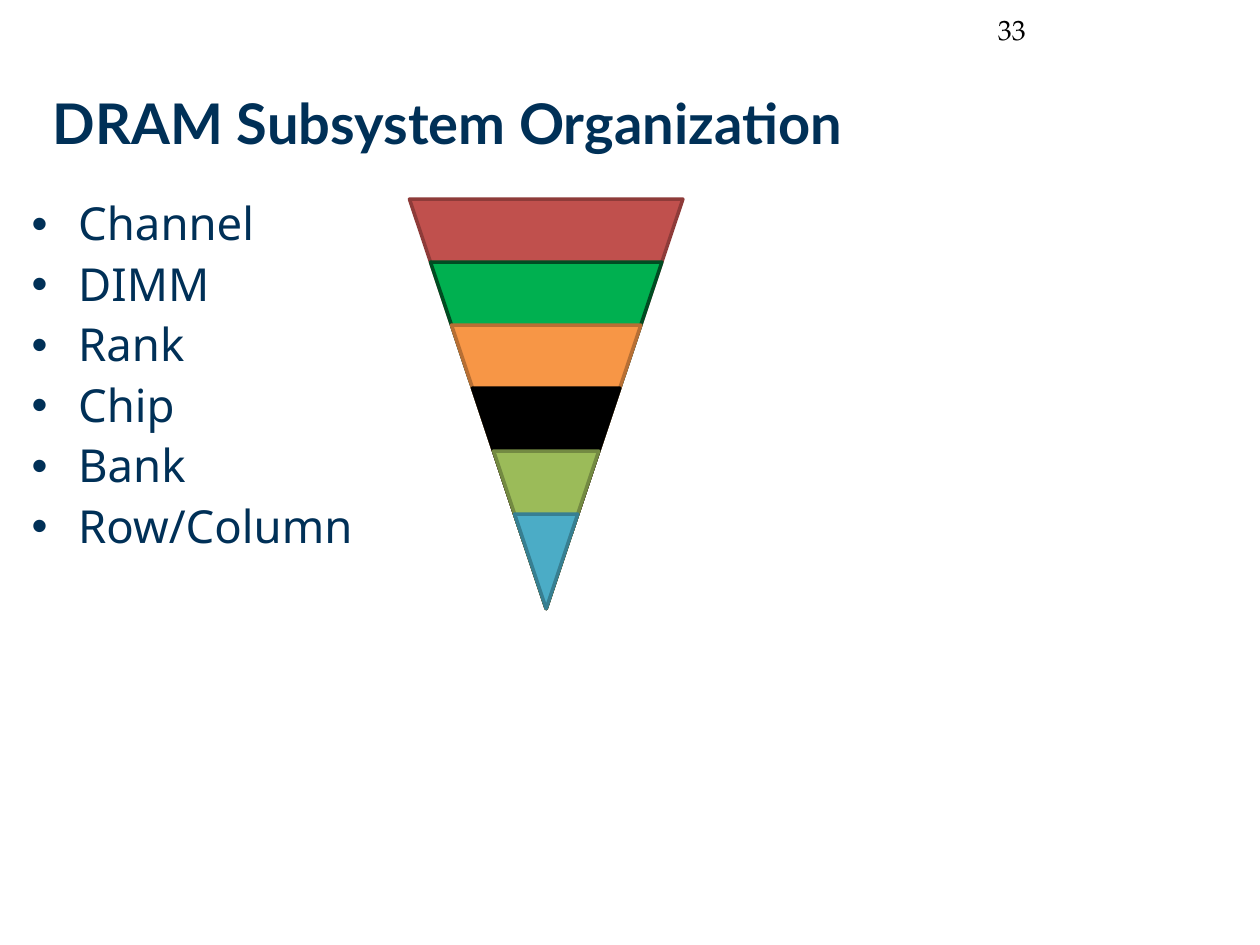
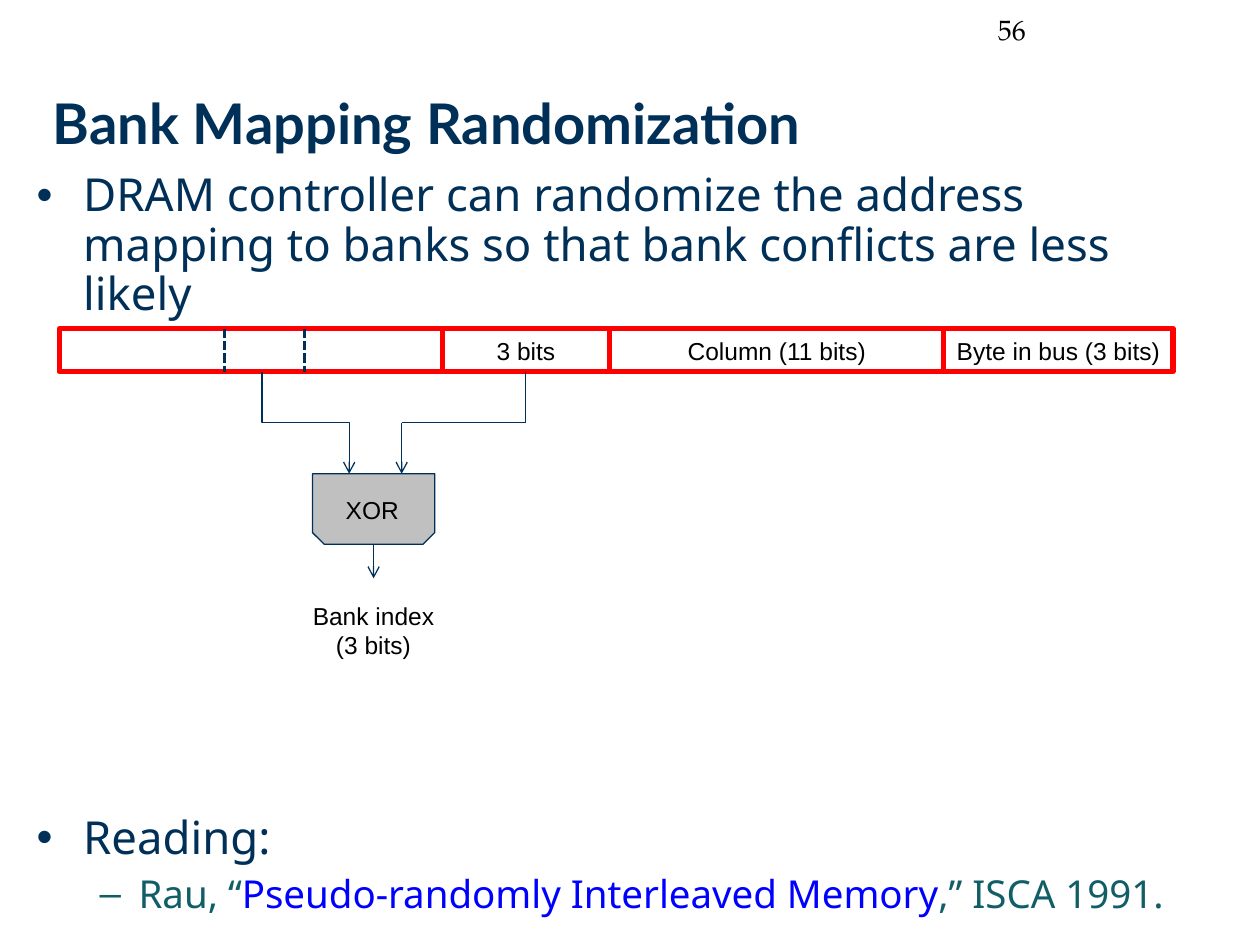
from collections import namedtuple
from itertools import accumulate

from lxml import etree
from pptx import Presentation
from pptx.dml.color import RGBColor
from pptx.enum.dml import MSO_LINE
from pptx.enum.shapes import MSO_CONNECTOR, MSO_SHAPE
from pptx.enum.text import MSO_ANCHOR, MSO_AUTO_SIZE, PP_ALIGN
from pptx.oxml.ns import qn
from pptx.util import Inches, Pt

LEFT, CENTER, RIGHT = PP_ALIGN.LEFT, PP_ALIGN.CENTER, PP_ALIGN.RIGHT
TOP, MIDDLE = MSO_ANCHOR.TOP, MSO_ANCHOR.MIDDLE
STRAIGHT, ELBOW = MSO_CONNECTOR.STRAIGHT, MSO_CONNECTOR.ELBOW
RECTANGLE = MSO_SHAPE.RECTANGLE
TRIANGLE = MSO_SHAPE.FLOWCHART_MERGE
GATE = MSO_SHAPE.SNIP_2_SAME_RECTANGLE
DASH = MSO_LINE.SQUARE_DOT
NO_FIT = MSO_AUTO_SIZE.NONE

NAVY = RGBColor(0x00, 0x30, 0x57)
TEAL = RGBColor(0x11, 0x5E, 0x67)
BLUE = RGBColor(0x00, 0x00, 0xFF)
BLACK = RGBColor(0x00, 0x00, 0x00)
RED = RGBColor(0xFF, 0x00, 0x00)
GRAY = RGBColor(0xC0, 0xC0, 0xC0)
FUNNEL_COLORS = [
    (RGBColor(0xC0, 0x50, 0x4D), RGBColor(0x8E, 0x3B, 0x39)),
    (RGBColor(0x00, 0xB0, 0x50), RGBColor(0x00, 0x4C, 0x22)),
    (RGBColor(0xF7, 0x96, 0x46), RGBColor(0xB7, 0x6F, 0x34)),
    (BLACK, BLACK),
    (RGBColor(0x9B, 0xBB, 0x59), RGBColor(0x73, 0x8A, 0x42)),
    (RGBColor(0x4B, 0xAC, 0xC6), RGBColor(0x37, 0x7F, 0x92)),
]

TITLE_FONT, BODY_FONT = "Lato", "Noto Sans"
NUMBER_FONT, LABEL_FONT = "TeX Gyre Pagella", "Arial"

Box = namedtuple("Box", "left top width height")
TITLE_BOX = Box(0.42, 0.5, 9.41, 0.98)
NUMBER_BOX = Box(7.33, -0.02, 0.91, 0.5)
Level = namedtuple("Level", "mark size color indent hang before")
LEVELS = [
    Level("•", 26, NAVY, 0.37, 0.37, 6.5),
    Level("–", 22, TEAL, 0.81, 0.31, 6),
]


def inches(box):
    return [Inches(length) for length in box]


def write(para, text, font=LABEL_FONT, size=14, color=BLACK, bold=False,
          align=CENTER, spacing=None):
    para.alignment = align
    if spacing:
        para.line_spacing = spacing
    span = para.add_run()
    span.text = text
    span.font.name = font
    span.font.size = Pt(size)
    span.font.bold = bold
    span.font.color.rgb = color


def fill_placeholder(holder, box, anchor, inset_top=0):
    holder.left, holder.top, holder.width, holder.height = inches(box)
    frame = holder.text_frame
    frame.word_wrap = True
    frame.auto_size = NO_FIT
    frame.vertical_anchor = anchor
    frame.margin_left = frame.margin_right = frame.margin_bottom = 0
    frame.margin_top = Inches(inset_top)
    return frame


def add_label(page, box, text, anchor=TOP, **style):
    frame = page.shapes.add_textbox(*inches(box)).text_frame
    frame.word_wrap = True
    frame.vertical_anchor = anchor
    write(frame.paragraphs[0], text, **style)


def add_outlined(page, kind, box, line, width, fill=None):
    shape = page.shapes.add_shape(kind, *inches(box))
    shape.shadow.inherit = False
    if fill is None:
        shape.fill.background()
    else:
        shape.fill.solid()
        shape.fill.fore_color.rgb = fill
    shape.line.color.rgb = line
    shape.line.width = Pt(width)
    return shape


def add_line(page, start, end, kind=STRAIGHT, width=0.75, dash=None, arrow=False):
    link = page.shapes.add_connector(kind, *inches(start + end))
    link.line.color.rgb = NAVY
    link.line.width = Pt(width)
    if dash:
        link.line.dash_style = dash
    if arrow:
        outline = link.line._get_or_add_ln()
        etree.SubElement(outline, qn("a:tailEnd"), type="arrow")
    etree.SubElement(link._element.spPr, qn("a:effectLst"))
    return link


def add_drop_elbow(page, start, end):
    link = add_line(page, start, end, kind=ELBOW, arrow=True)
    across, down = end[0] - start[0], end[1] - start[1]
    middle_x, middle_y = start[0] + across / 2, start[1] + down / 2
    turned = Box(middle_x - down / 2, middle_y - across / 2, down, across)
    link.left, link.top, link.width, link.height = inches(turned)
    frame = link._element.spPr.find(qn("a:xfrm"))
    frame.set("rot", str(270 * 60000))
    frame.set("flipH", "1")


def add_page(deck, title, number):
    page = deck.slides.add_slide(deck.slide_layouts[1])
    frame = fill_placeholder(page.shapes.title, TITLE_BOX, MIDDLE)
    write(frame.paragraphs[0], title, font=TITLE_FONT, size=32, color=NAVY,
          bold=True, align=LEFT, spacing=0.99)
    add_label(page, NUMBER_BOX, str(number), anchor=MIDDLE, font=NUMBER_FONT,
              size=16, align=RIGHT)
    return page


def add_bullets(page, box, items, inset_top=0):
    frame = fill_placeholder(page.placeholders[1], box, TOP, inset_top)
    for index, (depth, spans, before) in enumerate(items):
        level = LEVELS[depth]
        para = frame.add_paragraph() if index else frame.paragraphs[0]
        para.level = depth
        para.space_before = Pt(before or level.before)
        for text, color in spans:
            write(para, text, font=BODY_FONT, size=level.size,
                  color=color or level.color, align=LEFT, spacing=0.9)
        props = para._p.get_or_add_pPr()
        props.set("marL", str(Inches(level.indent)))
        props.set("indent", str(-Inches(level.hang)))
        tint = etree.SubElement(props, qn("a:buClr"))
        etree.SubElement(tint, qn("a:srgbClr"), val=str(level.color))
        etree.SubElement(props, qn("a:buChar"), char=level.mark)


def add_funnel(page, box):
    step = box.height * 2 / 13
    for index, (fill, line) in enumerate(FUNNEL_COLORS):
        share = 1 - index * step / box.height
        width = box.width * share
        layer = Box(box.left + (box.width - width) / 2, box.top + index * step,
                    width, box.height * share)
        add_outlined(page, TRIANGLE, layer, line, 2, fill)


def add_address_bar(page, box, fields, cuts):
    widths = [width for _, width in fields]
    starts = accumulate(widths, initial=box.left)
    for (text, width), left in zip(fields, starts):
        field = add_outlined(page, RECTANGLE, Box(left, box.top, width, box.height),
                             RED, 3)
        if text:
            frame = field.text_frame
            frame.word_wrap = False
            frame.vertical_anchor = MIDDLE
            write(frame.paragraphs[0], text)
    for cut in cuts:
        add_line(page, (cut, box.top), (cut, box.top + box.height),
                 width=1.75, dash=DASH)


def add_xor(page, box, bar_bottom, row_tap, bank_tap):
    bottom = box.top + box.height
    center = box.left + box.width / 2
    left_pin = box.left + box.width * 0.3
    right_pin = box.left + box.width * 0.73
    bend = (bar_bottom + box.top) / 2
    add_drop_elbow(page, (row_tap, bar_bottom), (left_pin, box.top))
    add_outlined(page, GATE, box, NAVY, 0.75, GRAY).rotation = 180
    add_label(page, Box(center - 0.54, box.top + 0.12, 1.06, 0.34), "XOR")
    route = [(bank_tap, bar_bottom), (bank_tap, bend), (right_pin, bend),
             (right_pin, box.top)]
    for start, end in zip(route, route[1:]):
        add_line(page, start, end, arrow=end == route[-1])
    add_line(page, (center, bottom), (center, bottom + 0.27), arrow=True)
    add_label(page, Box(center - 0.67, bottom + 0.4, 1.34, 0.57),
              "Bank index (3 bits)")


def build_organization(deck):
    page = add_page(deck, "DRAM Subsystem Organization", 33)
    parts = ["Channel", "DIMM", "Rank", "Chip", "Bank", "Row/Column"]
    add_bullets(page, Box(0.25, 1.09, 9.42, 5.68),
                [(0, [(part, None)], None) for part in parts], inset_top=0.51)
    add_funnel(page, Box(3.25, 1.58, 2.17, 3.25))


def build_randomization(deck):
    page = add_page(deck, "Bank Mapping Randomization", 56)
    claim = ("DRAM controller can randomize the address mapping to banks "
             "so that bank conflicts are less likely")
    reading = [("Rau, “", None), ("Pseudo-randomly Interleaved Memory", BLUE),
               (",” ISCA 1991.", None)]
    add_bullets(page, Box(0.29, 1.37, 9.42, 5.68), [
        (0, [(claim, None)], None),
        (0, [("Reading:", None)], 283),
        (1, reading, None),
    ])
    bar = Box(0.47, 2.61, 8.84, 0.34)
    fields = [("", 3.04), ("3 bits", 1.33), ("Column (11 bits)", 2.65),
              ("Byte in bus (3 bits)", 1.82)]
    add_address_bar(page, bar, fields, cuts=[1.78, 2.42])
    add_xor(page, Box(2.48, 3.76, 0.97, 0.56), bar.top + bar.height,
            row_tap=2.08, bank_tap=4.17)


deck = Presentation()
deck.slide_width, deck.slide_height = Inches(10), Inches(7.5)
build_organization(deck)
build_randomization(deck)
deck.save("out.pptx")
